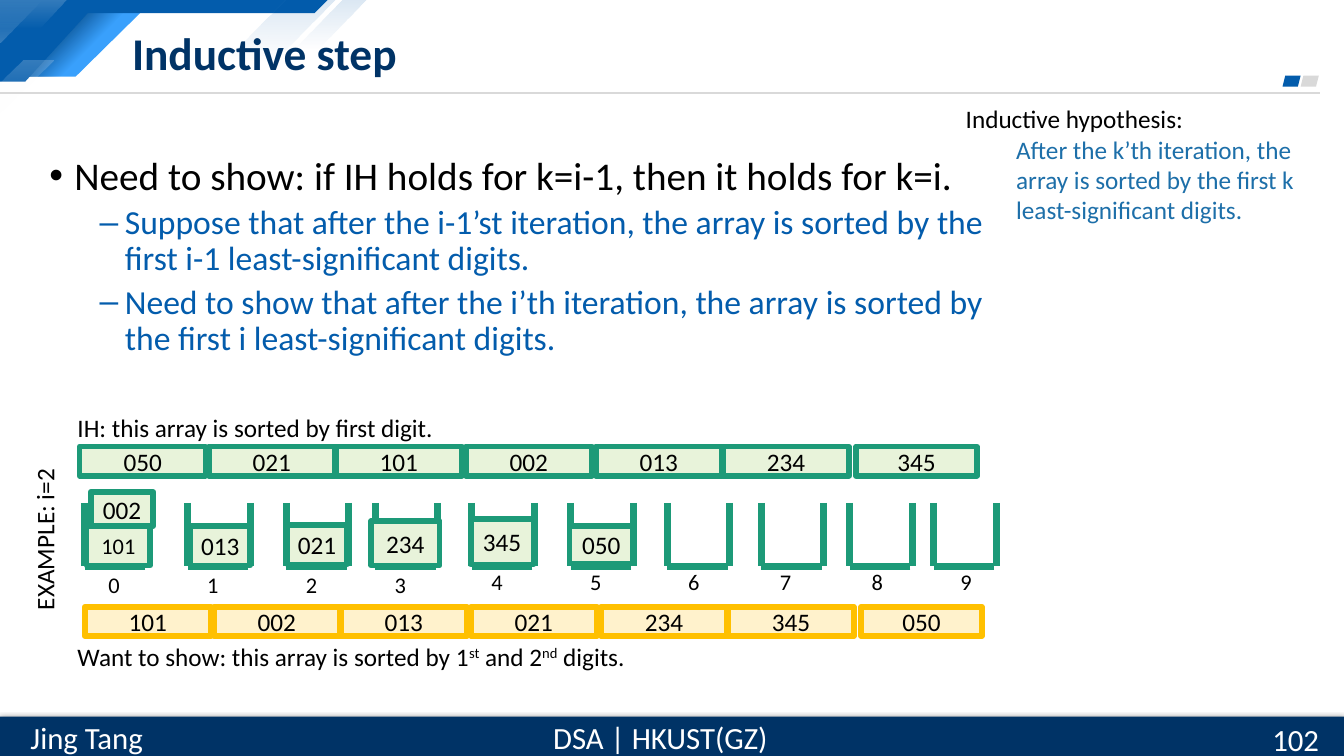
from lxml.etree import SubElement
from pptx import Presentation
from pptx.dml.color import RGBColor
from pptx.enum.shapes import MSO_CONNECTOR, MSO_SHAPE
from pptx.enum.text import MSO_ANCHOR, MSO_AUTO_SIZE, PP_ALIGN
from pptx.oxml.ns import qn
from pptx.util import Inches, Pt

INK = {
    "black": "000000", "white": "FFFFFF", "navy": "003366", "blue": "035CAC",
    "sky": "39A0FC", "deep": "024581", "steel": "1D6FA9", "gray": "D9D9D9",
    "green": "1D9A78", "mint": "E8F3DA", "gold": "FFC000", "cream": "FFF2CC",
}
LEFT, MID = PP_ALIGN.LEFT, PP_ALIGN.CENTER


def paint(shape, fill, edge=None):
    shape.shadow.inherit = False
    if isinstance(fill, str):
        shape.fill.solid()
        shape.fill.fore_color.rgb = RGBColor.from_string(INK[fill])
    else:
        hue, angle, marks = fill
        shape.fill.gradient()
        shape.fill.gradient_angle = angle
        for stop, (place, _) in zip(shape.fill.gradient_stops, marks):
            stop.position = place
            stop.color.rgb = RGBColor.from_string(INK[hue])
        colors = shape._element.spPr.iter(qn("a:srgbClr"))
        for color, (_, alpha) in zip(colors, marks):
            SubElement(color, qn("a:alpha"), val=str(alpha * 1000))
    if edge:
        shape.line.color.rgb = RGBColor.from_string(INK[edge])
        shape.line.width = Pt(4)
    else:
        shape.line.fill.background()


def write(shape, rows, size=18, hue="black", align=LEFT, anchor=MSO_ANCHOR.TOP, wrap=True, bold=False):
    frame = shape.text_frame
    form = {"word_wrap": wrap, "vertical_anchor": anchor, "auto_size": MSO_AUTO_SIZE.NONE}
    for key, value in form.items():
        setattr(frame, key, value)
    for index, row in enumerate(rows):
        para = frame.paragraphs[0] if index == 0 else frame.add_paragraph()
        para.alignment = align
        for turn, part in enumerate(row.split("^")):
            run = para.add_run()
            run.text = part
            form = {"name": "Calibri", "size": Pt(size), "bold": bold}
            for key, value in form.items():
                setattr(run.font, key, value)
            run.font.color.rgb = RGBColor.from_string(INK[hue])
            if turn % 2:
                run._r.get_or_add_rPr().set("baseline", "30000")


deck = Presentation()
deck.slide_width, deck.slide_height = Inches(13.33), Inches(7.5)
slide = deck.slides.add_slide(deck.slide_layouts[5])
shapes = slide.shapes

fade = [(0, 20), (1, 0)]
tint = [(0, 15), (1, 0)]
slant = [(0.84, 0.07), (1.45, 0.07), (0.75, 0.76), (0.16, 0.76)]
bands = [
    (slant, "sky"),
    (slant, ("deep", 315, [(0.29, 100), (0.57, 0)])),
    ([(0, 0), (3.25, 0), (3.12, 0.13), (0.87, 0.13), (0.25, 0.81), (0, 0.81)], "blue"),
    ([(0, 0), (0.66, 0), (0.39, 0.28), (0, 0.28)], ("white", 270, fade)),
    ([(2.84, 0), (3.33, 0), (2.72, 0.61), (2.22, 0.61)], ("blue", 270, tint)),
    ([(3.4, 0), (3.64, 0), (3.15, 0.49), (2.91, 0.49)], ("blue", 270, tint)),
    ([(0.23, 0.6), (0.53, 0.6), (0, 1.13), (0, 0.83)], ("white", 270, fade)),
]
for points, fill in bands:
    spots = [(Inches(x), Inches(y)) for x, y in points]
    pen = shapes.build_freeform(*spots[0])
    pen.add_line_segments(spots[1:], close=True)
    paint(pen.convert_to_shape(), fill)

corner = shapes.add_shape(MSO_SHAPE.RIGHT_TRIANGLE, 0, 0, Inches(0.42), Inches(0.42))
corner._element.spPr.xfrm.set("flipV", "1")
paint(corner, ("white", 270, fade))

for left, hue in [(12.9, "gray"), (12.72, "blue")]:
    mark = shapes.add_shape(MSO_SHAPE.PARALLELOGRAM, Inches(left), Inches(0.75), Inches(0.18), Inches(0.11))
    paint(mark, hue)

bar = shapes.add_shape(MSO_SHAPE.RECTANGLE, 0, Inches(7.11), Inches(13.33), Inches(0.39))
bar._element.spPr.xfrm.set("flipV", "1")
paint(bar, "navy")
glow = SubElement(bar._element.spPr.find(qn("a:effectLst")), qn("a:outerShdw"),
                  blurRad=str(Pt(4.5)), dist=str(Pt(1.5)), dir="5400000")
shade = SubElement(glow, qn("a:srgbClr"), val=INK["black"])
SubElement(shade, qn("a:alpha"), val="63000")

title = shapes.title
shapes._spTree.append(title._element)
title.left, title.top, title.width, title.height = map(Inches, (1.21, 0.17, 10.21, 0.69))
write(title, ["Inductive step"], 32.4, "navy", anchor=MSO_ANCHOR.MIDDLE, bold=True)

foot = [
    (5.36, 7.08, 2.38, 0.47, "DSA | HKUST(GZ)", MID),
    (0.16, 7.08, 1.4, 0.47, "Jing Tang", MID),
    (12.52, 7.13, 0.81, 0.4, "102", LEFT),
]
for *place, text, align in foot:
    box = shapes.add_textbox(*map(Inches, place))
    write(box, [text], 22, "white", align, MSO_ANCHOR.MIDDLE)

body = shapes.add_textbox(*map(Inches, (0.39, 1.5, 9.58, 5.12)))
write(body, [
    "Need to show: if IH holds for k=i-1, then it holds for k=i.",
    "Suppose that after the i-1’st iteration, the array is sorted by the first i-1 least-significant digits.",
    "Need to show that after the i’th iteration, the array is sorted by the first i least-significant digits.",
], 24, "blue")
for index, para in enumerate(body.text_frame.paragraphs):
    para.line_spacing = 0.9
    if index:
        para.level, para.space_before = 1, Pt(5)
    props = para._p.get_or_add_pPr()
    props.set("marL", str(Inches(0.75 if index else 0.25)))
    props.set("indent", str(Inches(-0.25)))
    SubElement(props, qn("a:buFont"), typeface="Arial")
    SubElement(props, qn("a:buChar"), char="–" if index else "•")
lead = body.text_frame.paragraphs[0].runs[0].font
lead.size = Pt(28)
lead.color.rgb = RGBColor.from_string(INK["black"])

claim = shapes.add_textbox(*map(Inches, (9.48, 0.98, 3.85, 1.31)))
write(claim, [
    "Inductive hypothesis:",
    "After the k’th iteration, the array is sorted by the first k least-significant digits.",
])
inner = claim.text_frame.paragraphs[1]
inner.level = 1
inner._p.get_or_add_pPr().set("marL", str(Inches(0.5)))
inner.runs[0].font.color.rgb = RGBColor.from_string(INK["steel"])

lines = [(0, 0.92, 13.09, 0.92, "gray", 1.5)]
bins = [0.84, 1.86, 2.84, 3.72, 4.68, 5.66, 6.62, 7.55, 8.43, 9.26]
for x in bins:
    lines += [
        (x, 4.99, x, 5.62, "green", 5),
        (x + 0.62, 4.99, x + 0.62, 5.62, "green", 5),
        (x + 0.6, 5.62, x, 5.62, "green", 5),
    ]
for *ends, hue, width in lines:
    line = shapes.add_connector(MSO_CONNECTOR.STRAIGHT, *map(Inches, ends))
    line.line.color.rgb = RGBColor.from_string(INK[hue])
    line.line.width = Pt(width)
    SubElement(line._element.spPr, qn("a:effectLst"))

tags = [0.97, 1.95, 2.93, 3.81, 4.77, 5.75, 6.72, 7.63, 8.54, 9.42]
for digit, x in enumerate(tags):
    y = 5.62 if digit < 4 else 5.59
    tag = shapes.add_textbox(*map(Inches, (x, y, 0.32, 0.37)))
    write(tag, [str(digit)], 16, align=MID, wrap=False)

cells = [
    (5.65, 5.22, 0.63, 0.37, "050", "mint", "green", 18),
    (2.85, 5.21, 0.59, 0.39, "021", "mint", "green", 18),
    (1.89, 5.22, 0.59, 0.39, "013", "mint", "green", 18),
    (0.86, 5.22, 0.63, 0.39, "101", "mint", "green", 16),
    (3.68, 5.17, 0.68, 0.44, "234", "mint", "green", 18),
    (0.9, 4.88, 0.62, 0.34, "002", "mint", "green", 18),
    (4.67, 5.15, 0.62, 0.45, "345", "mint", "green", 18),
]
steps = [0, 1.28, 2.54, 3.83, 5.12, 6.38, 7.7]
arrays = [
    (0.79, 4.43, "050 021 101 002 013 234 345", "mint", "green"),
    (0.84, 6.02, "101 002 013 021 234 345 050", "cream", "gold"),
]
for left, top, items, fill, edge in arrays:
    for step, item in zip(steps, items.split()):
        width = 1.2 if step == steps[-1] else 1.25
        cells.append((left + step, top, width, 0.29, item, fill, edge, 18))
for *place, text, fill, edge, size in cells:
    cell = shapes.add_shape(MSO_SHAPE.RECTANGLE, *map(Inches, place))
    paint(cell, fill, edge)
    write(cell, [text], size, align=MID, anchor=MSO_ANCHOR.MIDDLE)

notes = [
    (0.67, 4.04, 4.02, 0.4, "IH: this array is sorted by first digit.", 0),
    (0.67, 6.31, 6.79, 0.4, "Want to show: this array is sorted by 1^st^ and 2^nd^ digits.", 0),
    (-0.48, 5.03, 1.84, 0.4, "EXAMPLE: i=2", 270),
]
for *place, text, turn in notes:
    note = shapes.add_textbox(*map(Inches, place))
    note.rotation = turn
    write(note, [text])

deck.save("out.pptx")
